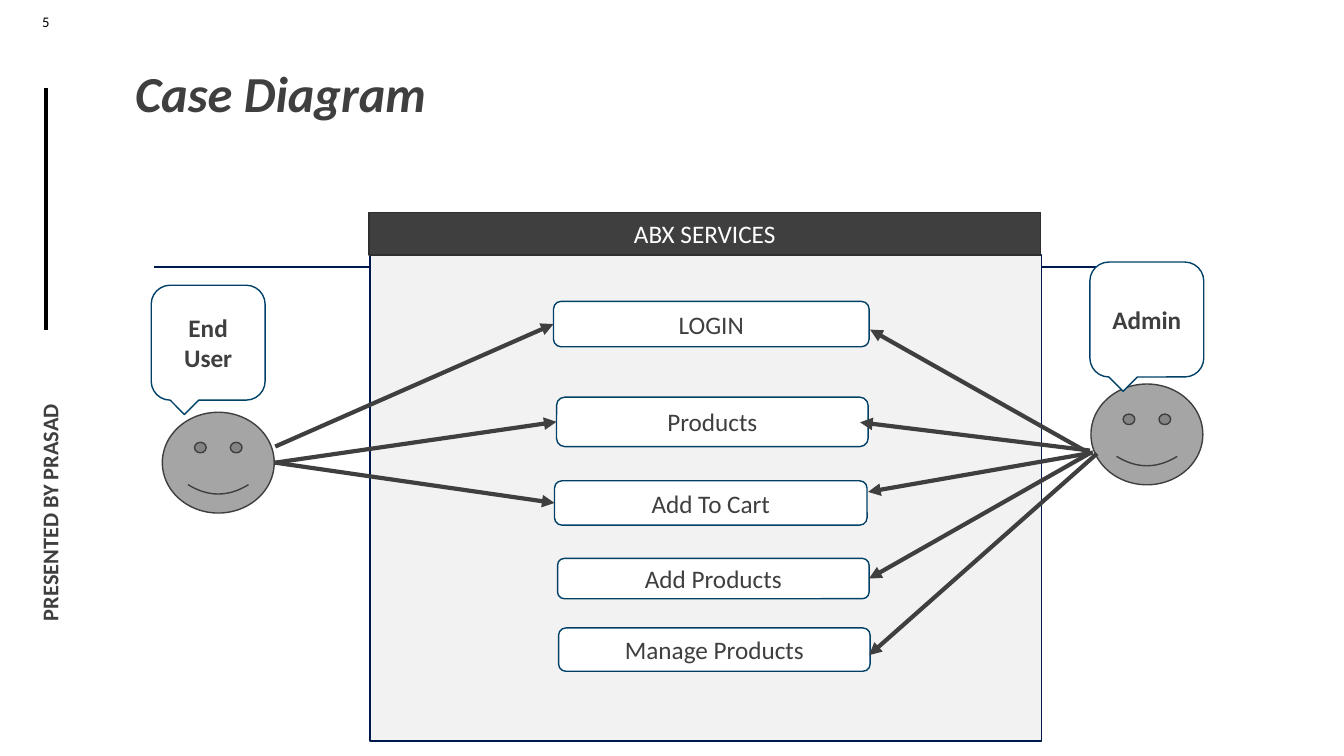
from lxml import etree
from pptx import Presentation
from pptx.dml.color import RGBColor
from pptx.enum.shapes import MSO_CONNECTOR, MSO_SHAPE
from pptx.enum.text import MSO_ANCHOR, MSO_AUTO_SIZE, PP_ALIGN
from pptx.oxml import parse_xml
from pptx.oxml.ns import nsdecls, qn
from pptx.util import Inches, Pt

DARK, NAVY, TEAL, WHITE = "3F3F3F", "00194C", "014067", "FFFFFF"
LEFT, RIGHT = 1, 3
TITLE_SHADOW = (
    f'<a:effectLst {nsdecls("a")}><a:outerShdw blurRad="38100" dist="38100" '
    'dir="2700000" algn="tl"><a:srgbClr val="000000"><a:alpha val="43000"/>'
    '</a:srgbClr></a:outerShdw></a:effectLst>'
)


def colour(hex_code):
    return RGBColor.from_string(hex_code)


def write(frame, words, size, ink=DARK, bold=False, align=PP_ALIGN.CENTER,
          anchor=MSO_ANCHOR.MIDDLE):
    frame.word_wrap = True
    frame.vertical_anchor = anchor
    paragraph = frame.paragraphs[0]
    paragraph.alignment = align
    run = paragraph.add_run()
    run.text = words
    run.font.name = "Calibri"
    run.font.size = Pt(size)
    run.font.bold = bold
    run.font.color.rgb = colour(ink)
    return run


def add_block(slide, preset, box, fill, outline, words="", ink=DARK, bold=False):
    block = slide.shapes.add_shape(preset, *map(Inches, box))
    block.shadow.inherit = False
    block.fill.solid()
    block.fill.fore_color.rgb = colour(fill)
    block.line.color.rgb = colour(outline)
    block.line.width = Pt(1)
    if words:
        write(block.text_frame, words, 18, ink, bold)
    return block


def add_label(slide, box, words, size, **style):
    label = slide.shapes.add_textbox(*map(Inches, box))
    write(label.text_frame, words, size, **style)
    return label


def add_line(slide, start, end, ink, width):
    line = slide.shapes.add_connector(
        MSO_CONNECTOR.STRAIGHT, *map(Inches, (*start, *end)))
    line.line.color.rgb = colour(ink)
    line.line.width = Pt(width)
    etree.SubElement(line._element.spPr, qn("a:effectLst"))
    return line


def add_arrow(slide, start, end, use_case=None, side=LEFT):
    arrow = add_line(slide, start, end, DARK, 3)
    if use_case is not None:
        arrow.end_connect(use_case, side)
    outline = arrow.line._get_or_add_ln()
    etree.SubElement(outline, qn("a:tailEnd"), type="triangle")


def add_actor(slide, left, top):
    add_block(slide, MSO_SHAPE.SMILEY_FACE, (left, top, 1.11, 1), "A5A5A5", DARK)


def add_callout(slide, left, top, words):
    add_block(slide, MSO_SHAPE.ROUNDED_RECTANGULAR_CALLOUT,
              (left, top, 1.13, 1.14), WHITE, TEAL, words, bold=True)


def add_title(slide, words):
    title = slide.shapes.title
    title.left, title.top, title.width, title.height = map(
        Inches, (1.24, 0.57, 3.34, 0.71))
    run = write(title.text_frame, words, 36, bold=True, align=PP_ALIGN.LEFT,
                anchor=MSO_ANCHOR.TOP)
    title.text_frame.auto_size = MSO_AUTO_SIZE.SHAPE_TO_FIT_TEXT
    run.font.italic = True
    run.font.fill._xPr.find(qn("a:solidFill")).addnext(parse_xml(TITLE_SHADOW))


def main():
    deck = Presentation()
    deck.slide_width, deck.slide_height = Inches(13.33), Inches(7.5)
    slide = deck.slides.add_slide(deck.slide_layouts[5])

    add_title(slide, "Case Diagram")
    add_line(slide, (0.46, 3.27), (0.46, 0.87), "000000", 3)
    add_label(slide, (0.17, 0.08, 0.57, 0.27), "5", 10.5, ink="000000",
              anchor=MSO_ANCHOR.TOP)
    add_line(slide, (1.53, 2.65), (11.81, 2.65), NAVY, 1.25)

    add_actor(slide, 1.61, 4.09)
    add_actor(slide, 10.82, 3.81)

    add_block(slide, MSO_SHAPE.RECTANGLE, (3.67, 2.53, 6.66, 4.82), "F2F2F2", NAVY)
    use_case_boxes = {
        "LOGIN": (5.49, 2.99, 3.13, 0.45),
        "Products": (5.52, 3.94, 3.09, 0.49),
        "Add To Cart": (5.5, 4.77, 3.1, 0.44),
        "Add Products": (5.53, 5.54, 3.09, 0.4),
        "Manage Products": (5.54, 6.23, 3.09, 0.43),
    }
    use_cases = {
        name: add_block(slide, MSO_SHAPE.ROUNDED_RECTANGLE, box, WHITE, TEAL, name)
        for name, box in use_case_boxes.items()
    }
    add_block(slide, MSO_SHAPE.RECTANGLE, (3.66, 2.11, 6.66, 0.42), DARK, "2F2F2F",
              "ABX SERVICES", WHITE)

    add_callout(slide, 1.5, 2.83, "End User")
    add_callout(slide, 10.81, 2.6, "Admin")

    for name, start, end in (
        ("LOGIN", (2.73, 4.43), (5.49, 3.21)),
        ("Products", (2.73, 4.59), (5.52, 4.19)),
        ("Add To Cart", (2.73, 4.59), (5.5, 4.98)),
    ):
        add_arrow(slide, start, end, use_cases[name])

    for start, end in (
        ((10.81, 4.5), (8.63, 3.27)),
        ((10.81, 4.47), (8.53, 4.19)),
        ((10.84, 4.49), (8.61, 4.88)),
        ((10.88, 4.5), (8.62, 6.5)),
    ):
        add_arrow(slide, start, end)
    add_arrow(slide, (10.82, 4.49), (8.61, 5.74), use_cases["Add Products"], RIGHT)

    presenter = add_label(slide, (-1.05, 4.39, 3.08, 0.66), "PRESENTED BY PRASAD",
                          16, bold=True, align=PP_ALIGN.LEFT)
    presenter.rotation = 270

    deck.save("out.pptx")


if __name__ == "__main__":
    main()
